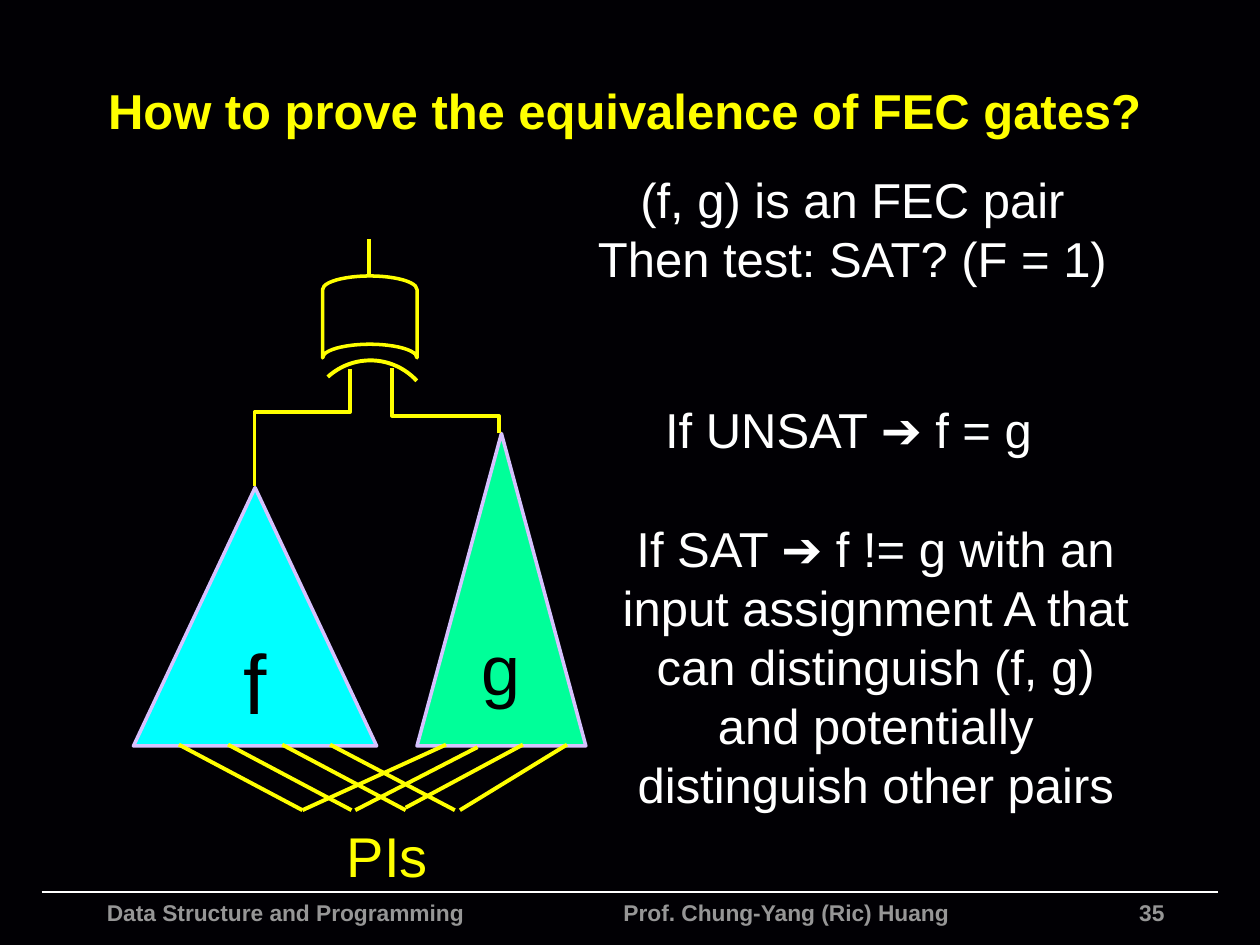
"""Build the slide on proving the equivalence of FEC gates."""
import pptx
import pptx.dml.color
import pptx.enum.shapes
import pptx.enum.text
import pptx.oxml
import pptx.oxml.ns
import pptx.util

Inches = pptx.util.Inches
Shape = pptx.enum.shapes.MSO_SHAPE
Align = pptx.enum.text.PP_ALIGN
Anchor = pptx.enum.text.MSO_ANCHOR
Fit = pptx.enum.text.MSO_AUTO_SIZE


def paint(target, color):
    target.rgb = pptx.dml.color.RGBColor.from_string(color)


def write(frame, text, size, color, align=Align.CENTER, bold=False):
    frame.text = text
    for para in frame.paragraphs:
        para.alignment = align
        for run in para.runs:
            run.font.name = "Arial"
            run.font.size = pptx.util.Pt(size)
            run.font.bold = bold
            paint(run.font.color, color)


deck = pptx.Presentation()
deck.slide_width, deck.slide_height = Inches(10), Inches(7.5)
slide = deck.slides.add_slide(deck.slide_layouts[6])
slide.background.fill.solid()
paint(slide.background.fill.fore_color, "010004")
shapes = slide.shapes

cones = [
    ("f", 48, "00FFFF", (1.06, 3.87, 1.93, 2.05)),
    ("g", 40, "00FF99", (3.31, 3.44, 1.34, 2.48)),
]
for name, size, color, box in cones:
    cone = shapes.add_shape(Shape.ISOSCELES_TRIANGLE, *map(Inches, box))
    cone.shadow.inherit = False
    cone.fill.solid()
    paint(cone.fill.fore_color, color)
    paint(cone.line.color, "D6C2FF")
    cone.line.width = pptx.util.Pt(2)
    frame = cone.text_frame
    frame.vertical_anchor = Anchor.MIDDLE
    frame.margin_left = frame.margin_right = Inches(0.05)
    write(frame, name, size, "000000")

gate = shapes.add_shape(Shape.FLOWCHART_STORED_DATA, *map(Inches, (2.61, 2.14, 0.65, 0.75)))
gate.rotation = 90
arc = shapes.add_shape(Shape.ARC, *map(Inches, (2.44, 2.86, 1, 1)))
arc.rotation = 317.5
parts = [(gate, 2), (arc, 2.25)]

wires = [
    [(2.02, 3.86), (2.02, 3.27), (2.78, 3.27), (2.78, 2.93)],
    [(3.96, 3.44), (3.96, 3.3), (3.11, 3.3), (3.11, 2.92)],
]
for wire in wires:
    spots = [(Inches(x), Inches(y)) for x, y in wire]
    pen = shapes.build_freeform(*spots[0])
    pen.add_line_segments(spots[1:], close=False)
    parts.append((pen.convert_to_shape(), 2))

for part, width in parts:
    part.shadow.inherit = False
    part.fill.background()
    paint(part.line.color, "FFFF00")
    part.line.width = pptx.util.Pt(width)

lines = [
    (2.93, 2.19, 2.93, 1.9),
    (1.42, 5.91, 2.4, 6.43),
    (1.81, 5.91, 2.79, 6.43),
    (2.24, 5.91, 3.22, 6.43),
    (2.62, 5.91, 3.61, 6.43),
    (4.5, 5.91, 3.65, 6.43),
    (3.79, 5.93, 2.82, 6.43),
    (3.54, 5.91, 2.4, 6.43),
    (4.15, 5.91, 3.22, 6.41),
]
strokes = [(ends, "FFFF00", 2.25) for ends in lines]
strokes.append(((0.33, 7.08, 9.67, 7.08), "FFFFFF", 1))
for ends, color, width in strokes:
    line = shapes.add_connector(pptx.enum.shapes.MSO_CONNECTOR.STRAIGHT, *map(Inches, ends))
    paint(line.line.color, color)
    line.line.width = pptx.util.Pt(width)
    line._element.spPr.append(pptx.oxml.parse_xml(
        f"<a:effectLst {pptx.oxml.ns.nsdecls('a')}/>"))

notes = [
    ("PIs", 32, "FFFF00", (2.65, 6.47, 0.85, 0.64), False),
    ("If UNSAT ➔ f = g", 28, "FFFFFF", (5.12, 3.12, 3.23, 0.57), False),
    ("If SAT ➔ f != g with an input assignment A that can distinguish (f, g) "
     "and potentially distinguish other pairs", 28, "FFFFFF", (4.8, 4.07, 4.3, 2.46), True),
    ("(f, g) is an FEC pair\nThen test: SAT? (F = 1)", 28, "FFFFFF",
     (4.62, 1.3, 4.29, 1.04), False),
]
for text, size, color, box, wrap in notes:
    frame = shapes.add_textbox(*map(Inches, box)).text_frame
    frame.word_wrap = wrap
    frame.auto_size = Fit.SHAPE_TO_FIT_TEXT
    write(frame, text, size, color)

heads = [
    ("How to prove the equivalence of FEC gates?", 28, "FFFF00",
     (0.76, 0.37, 8.84, 1.01), Align.LEFT, Anchor.MIDDLE),
    ("35", 13, "969696", (6.17, 7.08, 3.17, 0.18), Align.RIGHT, Anchor.TOP),
    ("Data Structure and Programming\tProf. Chung-Yang (Ric) Huang", 13, "969696",
     (0.75, 7.08, 7.24, 0.42), Align.LEFT, Anchor.TOP),
]
for text, size, color, box, align, anchor in heads:
    frame = shapes.add_textbox(*map(Inches, box)).text_frame
    frame.word_wrap = True
    frame.vertical_anchor = anchor
    write(frame, text, size, color, align, True)
    if "\t" in text:
        props = frame.paragraphs[0]._p.get_or_add_pPr()
        props.append(pptx.oxml.parse_xml(
            f"<a:tabLst {pptx.oxml.ns.nsdecls('a')}>"
            f'<a:tab pos="{Inches(4.1)}" algn="l"/></a:tabLst>'))

deck.save("out.pptx")
